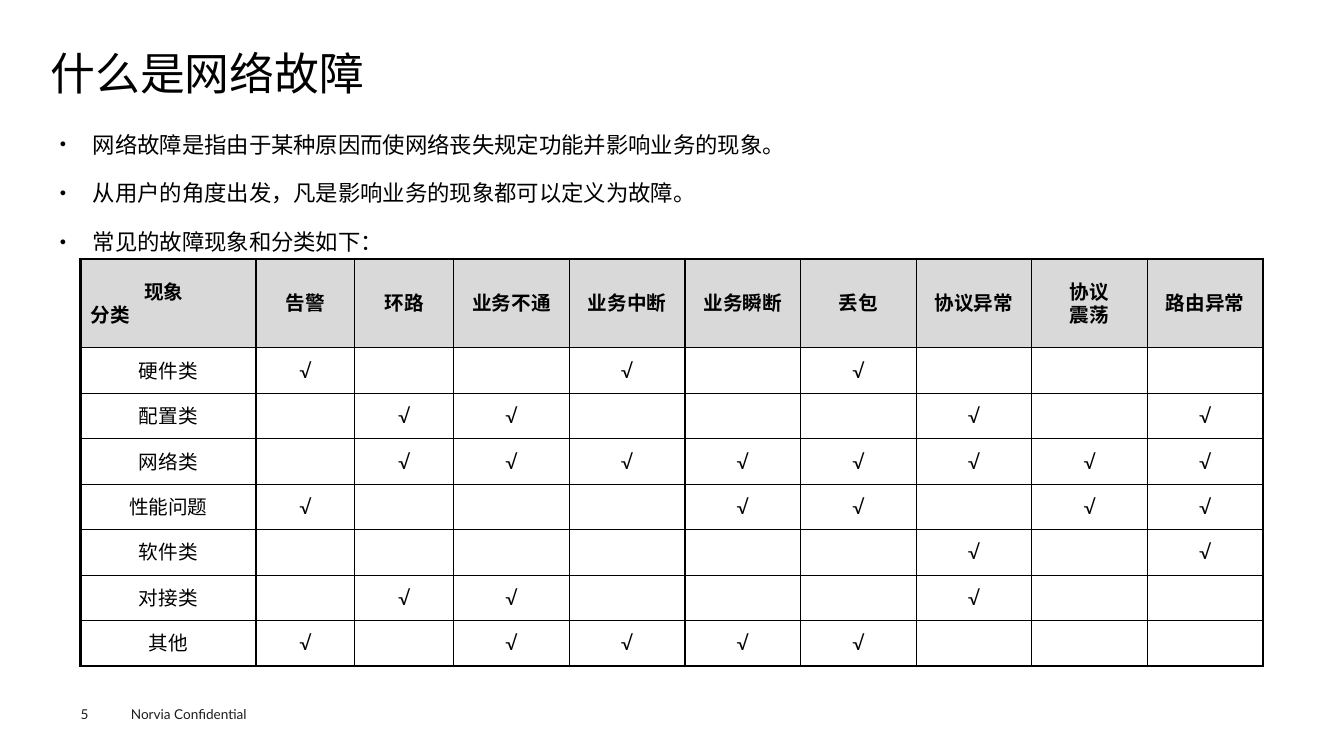
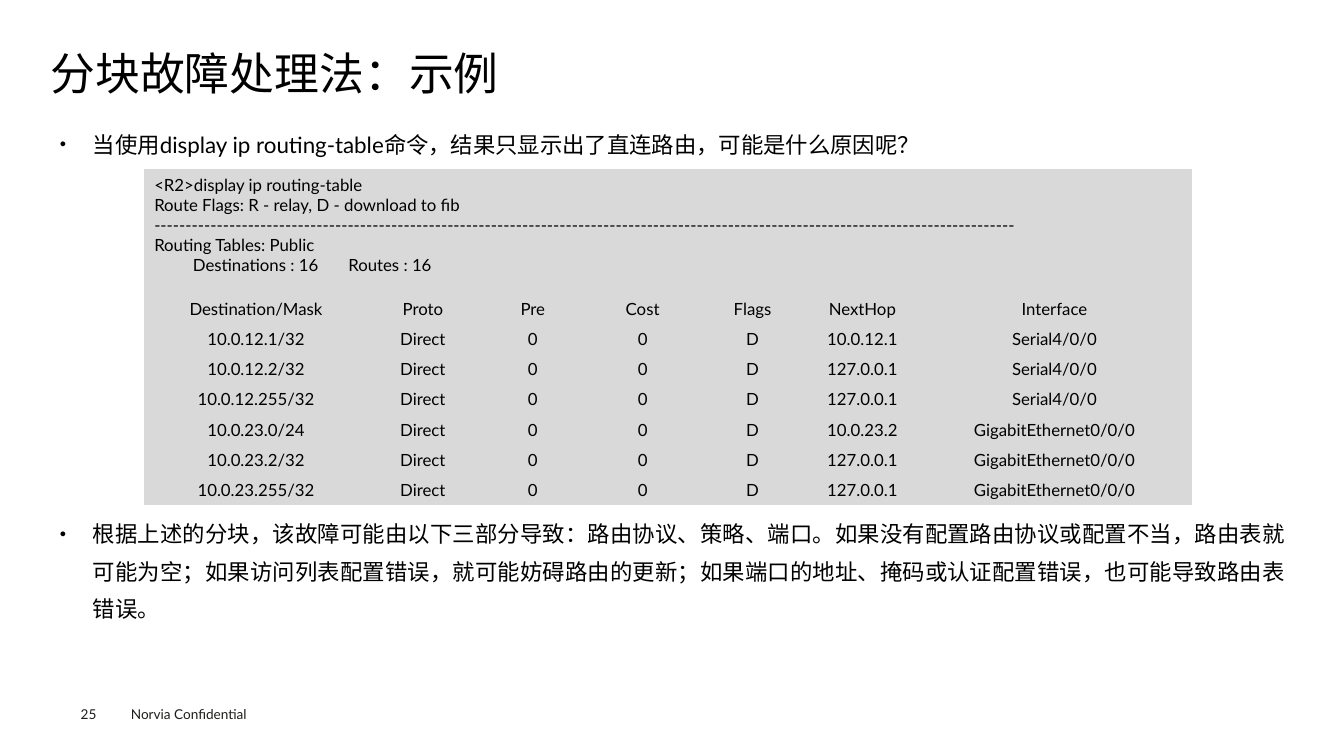
from dataclasses import dataclass
from typing import Any, Optional, Sequence

import lxml.etree
import pptx
import pptx.dml.color
import pptx.enum.lang
import pptx.enum.text
import pptx.oxml.ns
import pptx.util

Inches = pptx.util.Inches
Pt = pptx.util.Pt
ALIGN = pptx.enum.text.PP_ALIGN
ANCHOR = pptx.enum.text.MSO_ANCHOR
qn = pptx.oxml.ns.qn


# Theme
@dataclass(frozen=True)
class Theme:
    font: str = "Lato"
    text: str = "000000"
    footer_text: str = "1D1D1B"
    panel: str = "D9D9D9"
    title_size: float = 32
    body_size: float = 16
    grid_size: float = 14
    code_size: float = 12
    footer_size: float = 9.7
    thin: float = 1
    thick: float = 2.25


@dataclass(frozen=True)
class Box:
    left: float
    top: float
    width: float
    height: float

    def emu(self) -> tuple[int, int, int, int]:
        return (Inches(self.left), Inches(self.top),
                Inches(self.width), Inches(self.height))


@dataclass(frozen=True)
class Bullet:
    text: str
    before: float = 7.9


@dataclass(frozen=True)
class FaultClass:
    name: str
    symptoms: Sequence[str]


@dataclass(frozen=True)
class Route:
    destination: str
    next_hop: str
    interface: str

    def cells(self) -> list[str]:
        return [self.destination, "Direct", "0", "0", "D",
                self.next_hop, self.interface]


THEME = Theme()
TITLE_BOX = Box(0.5, 0.49, 12.35, 0.53)
BODY_BOX = Box(0.5, 1.15, 12.35, 5.34)
FOOTER_BOX = Box(1.2, 6.95, 1.6, 0.27)
NUMBER_BOX = Box(0.8, 7, 0.55, 0.16)
FAULT_BOX = Box(0.8, 2.57, 11.73, 4.04)
ROUTE_BOX = Box(1.43, 1.68, 10.39, 3.33)

# Content
SYMPTOMS = ["告警", "环路", "业务不通", "业务中断", "业务瞬断",
            "丢包", "协议异常", "协议\n震荡", "路由异常"]
FAULTS = [
    FaultClass("硬件类", ["告警", "业务中断", "丢包"]),
    FaultClass("配置类", ["环路", "业务不通", "协议异常", "路由异常"]),
    FaultClass("网络类", SYMPTOMS[1:]),
    FaultClass("性能问题", ["告警", "业务瞬断", "丢包", "协议\n震荡", "路由异常"]),
    FaultClass("软件类", ["协议异常", "路由异常"]),
    FaultClass("对接类", ["环路", "业务不通", "协议异常"]),
    FaultClass("其他", ["告警", "业务不通", "业务中断", "业务瞬断", "丢包"]),
]
ROUTE_INTRO = """<R2>display ip routing-table
Route Flags: R - relay, D - download to fib
------------------------------------------------------------------------------------------------------------------------------------------
Routing Tables: Public
         Destinations : 16       Routes : 16"""
ROUTE_HEADER = ["Destination/Mask", "Proto", "Pre", "Cost", "Flags",
                "NextHop", "Interface"]
SERIAL, GIGABIT = "Serial4/0/0", "GigabitEthernet0/0/0"
ROUTES = [
    Route("10.0.12.1/32", "10.0.12.1", SERIAL),
    Route("10.0.12.2/32", "127.0.0.1", SERIAL),
    Route("10.0.12.255/32", "127.0.0.1", SERIAL),
    Route("10.0.23.0/24", "10.0.23.2", GIGABIT),
    Route("10.0.23.2/32", "127.0.0.1", GIGABIT),
    Route("10.0.23.255/32", "127.0.0.1", GIGABIT),
]


# Text
def write(tf: Any, text: str, *, size: float, color: str = THEME.text,
          bold: bool = False, align: Any = ALIGN.LEFT,
          spacing: Optional[float] = None) -> None:
    """Write each line of the text as one paragraph."""
    for i, line in enumerate(text.split("\n")):
        p = tf.paragraphs[0] if i == 0 else tf.add_paragraph()
        p.alignment = align
        if spacing:
            p.line_spacing = spacing
        r = p.add_run()
        r.text = line
        font = r.font
        font.size, font.bold, font.name = Pt(size), bold, THEME.font
        font.language_id = pptx.enum.lang.MSO_LANGUAGE_ID.SIMPLIFIED_CHINESE
        font.color.rgb = pptx.dml.color.RGBColor.from_string(color)
        latin = r._r.rPr.find(qn("a:latin"))
        latin.addnext(latin.makeelement(qn("a:ea"), {"typeface": THEME.font}))


def set_frame(tf: Any, inset_x: float, inset_y: float, anchor: Any) -> None:
    tf.word_wrap = True
    tf.auto_size = pptx.enum.text.MSO_AUTO_SIZE.NONE
    tf.vertical_anchor = anchor
    tf.margin_left = tf.margin_right = Inches(inset_x)
    tf.margin_top = tf.margin_bottom = Inches(inset_y)


def indent(p: Any, left: float, first: float = 0) -> Any:
    pPr = p._p.get_or_add_pPr()
    pPr.set("marL", str(Inches(left)))
    pPr.set("indent", str(Inches(first)))
    return pPr


def place(shape: Any, box: Box) -> None:
    shape.left, shape.top, shape.width, shape.height = box.emu()


# Shared slide parts
def add_label(s: Any, box: Box, text: str, inset_x: float, inset_y: float) -> None:
    tf = s.shapes.add_textbox(*box.emu()).text_frame
    set_frame(tf, inset_x, inset_y, ANCHOR.TOP)
    write(tf, text, size=THEME.footer_size, color=THEME.footer_text)


def add_slide(prs: Any, number: int, title: str, bullets: Sequence[Bullet]) -> Any:
    s = prs.slides.add_slide(prs.slide_layouts[1])
    add_label(s, FOOTER_BOX, "Norvia Confidential", 0.1, 0.05)
    add_label(s, NUMBER_BOX, str(number), 0, 0)

    place(s.shapes.title, TITLE_BOX)
    set_frame(s.shapes.title.text_frame, 0, 0, ANCHOR.MIDDLE)
    write(s.shapes.title.text_frame, title, size=THEME.title_size, spacing=0.9)

    body = s.placeholders[1]
    place(body, BODY_BOX)
    tf = body.text_frame
    set_frame(tf, 0.09, 0.04, ANCHOR.TOP)
    write(tf, "\n".join(b.text for b in bullets), size=THEME.body_size,
          align=ALIGN.JUSTIFY, spacing=1.4)
    for i, (p, bullet) in enumerate(zip(tf.paragraphs, bullets)):
        p.space_before = Pt(bullet.before if i else 0)
        pPr = indent(p, 0.33, -0.33)
        lxml.etree.SubElement(pPr, qn("a:buSzPct"), val="50000")
        lxml.etree.SubElement(pPr, qn("a:buChar"), char="●")
    return s


# Tables
def add_table(s: Any, box: Box, cols: Sequence[float], rows: Sequence[float]) -> Any:
    table = s.shapes.add_table(len(rows), len(cols), *box.emu()).table
    table.first_row = table.horz_banding = False
    for column, width in zip(table.columns, cols):
        column.width = Inches(width)
    for row, height in zip(table.rows, rows):
        row.height = Inches(height)
    return table


def set_borders(cell: Any, left: float, right: float, top: float, bottom: float) -> None:
    """Set border widths in points; zero means no line."""
    tcPr = cell._tc.get_or_add_tcPr()
    for side, width in zip("LRTB", (left, right, top, bottom)):
        ln = lxml.etree.SubElement(tcPr, qn(f"a:ln{side}"), w=str(Pt(width)))
        if width:
            fill = lxml.etree.SubElement(ln, qn("a:solidFill"))
            lxml.etree.SubElement(fill, qn("a:srgbClr"), val=THEME.text)
        else:
            lxml.etree.SubElement(ln, qn("a:noFill"))


def set_fill(cell: Any, color: Optional[str]) -> None:
    if color:
        cell.fill.solid()
        cell.fill.fore_color.rgb = pptx.dml.color.RGBColor.from_string(color)
    else:
        cell.fill.background()


def add_fault_table(s: Any) -> None:
    class_w, narrow_w, header_h = 1.74, 0.98, 0.88
    wide = len(SYMPTOMS) - 2
    wide_w = (FAULT_BOX.width - class_w - 2 * narrow_w) / wide
    row_h = (FAULT_BOX.height - header_h) / len(FAULTS)
    table = add_table(s, FAULT_BOX, [class_w] + [narrow_w] * 2 + [wide_w] * wide,
                      [header_h] + [row_h] * len(FAULTS))
    grid = [["现象\n分类"] + SYMPTOMS]
    grid += [[f.name] + ["√" if name in f.symptoms else "" for name in SYMPTOMS]
             for f in FAULTS]
    for i, texts in enumerate(grid):
        for j, text in enumerate(texts):
            cell = table.cell(i, j)
            edges = (j == 0, j == len(SYMPTOMS), i == 0, i == len(FAULTS))
            set_borders(cell, *(THEME.thick if e else THEME.thin for e in edges))
            set_fill(cell, THEME.panel if i == 0 else None)
            cell.vertical_anchor = ANCHOR.MIDDLE
            if text:
                write(cell.text_frame, text, size=THEME.grid_size, bold=i == 0,
                      align=ALIGN.LEFT if i == j == 0 else ALIGN.CENTER)
    indent(table.cell(0, 0).text_frame.paragraphs[0], 0.53)


def add_route_table(s: Any) -> None:
    grid = [[ROUTE_INTRO] + [""] * (len(ROUTE_HEADER) - 1), ROUTE_HEADER]
    grid += [route.cells() for route in ROUTES]
    table = add_table(s, ROUTE_BOX, [2.22] + [1.09] * 5 + [2.72],
                      [1.23] + [0.3] * (len(grid) - 1))
    table.cell(0, 0).merge(table.cell(0, len(ROUTE_HEADER) - 1))
    for i, texts in enumerate(grid):
        for j, text in enumerate(texts):
            cell = table.cell(i, j)
            set_borders(cell, 0, 0, 0, 0)
            set_fill(cell, THEME.panel)
            cell.vertical_anchor = ANCHOR.MIDDLE if i else ANCHOR.TOP
            if text:
                write(cell.text_frame, text, size=THEME.code_size,
                      align=ALIGN.CENTER if i else ALIGN.LEFT)


def main() -> None:
    prs = pptx.Presentation()
    prs.slide_width, prs.slide_height = Inches(13.33), Inches(7.5)

    # Fault classes and their symptoms
    s = add_slide(prs, 5, "什么是网络故障", [
        Bullet("网络故障是指由于某种原因而使网络丧失规定功能并影响业务的现象。"),
        Bullet("从用户的角度出发，凡是影响业务的现象都可以定义为故障。"),
        Bullet("常见的故障现象和分类如下："),
    ])
    add_fault_table(s)

    # Routing table example, with the second bullet below the table
    s = add_slide(prs, 25, "分块故障处理法：示例", [
        Bullet("当使用display ip routing-table命令，结果只显示出了直连路由，可能是什么原因呢？"),
        Bullet("根据上述的分块，该故障可能由以下三部分导致：路由协议、策略、端口。"
               "如果没有配置路由协议或配置不当，路由表就可能为空；"
               "如果访问列表配置错误，就可能妨碍路由的更新；"
               "如果端口的地址、掩码或认证配置错误，也可能导致路由表错误。", before=251.4),
    ])
    add_route_table(s)

    prs.save("out.pptx")


if __name__ == "__main__":
    main()
